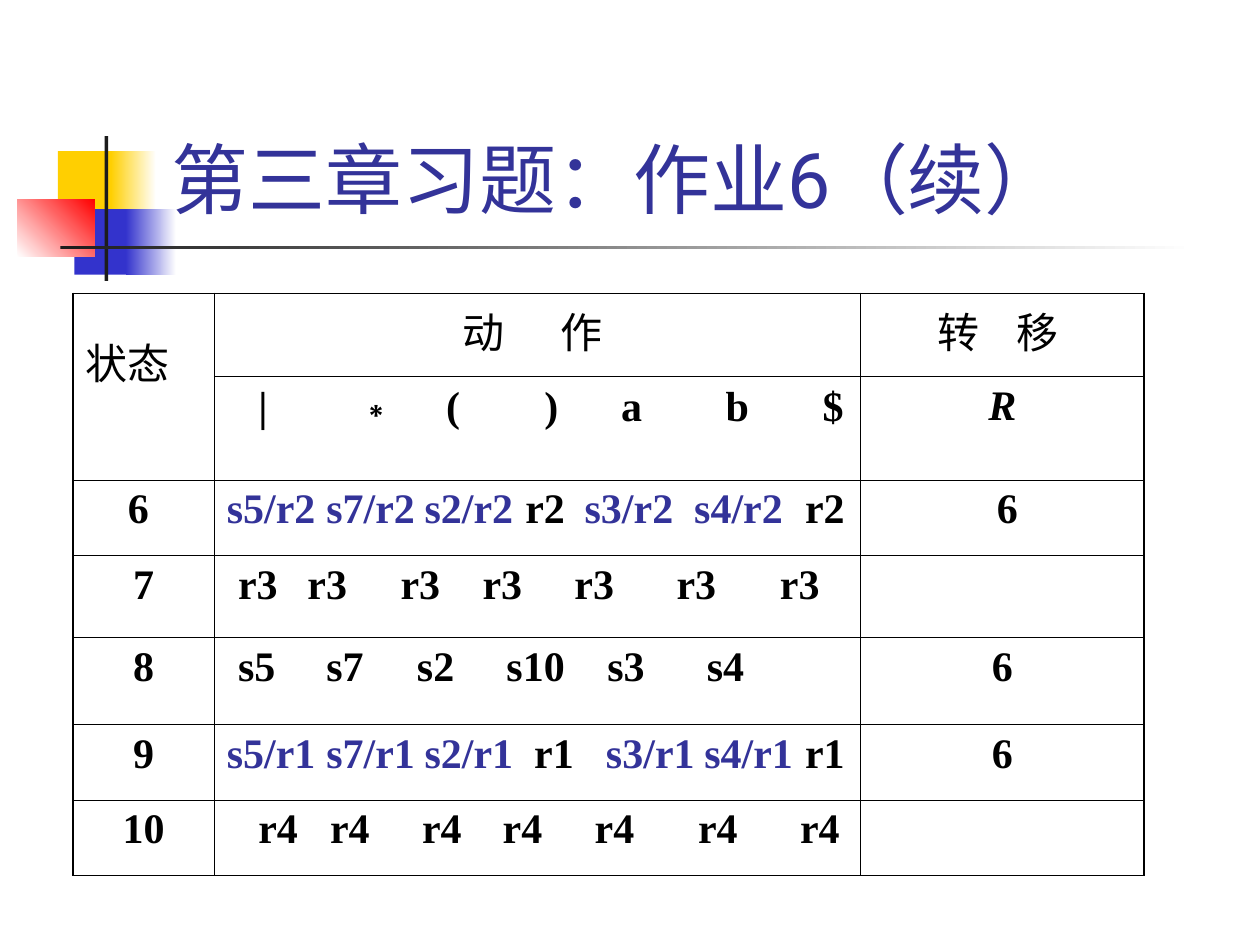
"""Build the parsing-table exercise slide with its decorated title."""
from lxml import etree
from pptx import Presentation
from pptx.dml.color import RGBColor
from pptx.enum.shapes import MSO_SHAPE
from pptx.enum.text import MSO_ANCHOR, PP_ALIGN
from pptx.oxml.ns import qn
from pptx.util import Inches, Pt

RECT = MSO_SHAPE.RECTANGLE
BOTTOM = MSO_ANCHOR.BOTTOM
LEFT, CENTER = PP_ALIGN.LEFT, PP_ALIGN.CENTER

THEME = {
    "white": "FFFFFF", "black": "000000", "ink": "1C1C1C", "accent": "333399",
    "yellow": "FFCF01", "blue": "3333CC", "red": "FF0000",
    "title_size": 44, "body_size": 24, "thin": 0.45, "thick": 1.08,
    "title_font": "Roboto", "body_font": "Times New Roman",
    "symbol_font": "Arial", "cjk_font": "Noto Sans CJK SC",
}


def add_run(p, text, size, font, color, bold=False, italic=False):
    r = p.add_run()
    r.text = text
    formats = {"size": Pt(THEME[size]), "name": THEME[font], "bold": bold, "italic": italic}
    for name, value in formats.items():
        setattr(r.font, name, value)
    r.font.color.rgb = RGBColor.from_string(THEME[color])
    etree.SubElement(r.font._element, qn("a:ea"), typeface=THEME["cjk_font"])


def add_border(cell, side, width):
    ln = etree.SubElement(cell._tc.get_or_add_tcPr(), qn(f"a:ln{side}"), w=str(Pt(width)))
    fill = etree.SubElement(ln, qn("a:solidFill"))
    etree.SubElement(fill, qn("a:srgbClr"), val=THEME["black"])


prs = Presentation()
prs.slide_width, prs.slide_height = Inches(10), Inches(7.5)
s = prs.slides.add_slide(prs.slide_layouts[6])

ORNAMENTS = [
    (0.46, 1.2, 0.48, 0.52, ["yellow"], 0),
    (0.88, 1.2, 0.36, 0.52, ["yellow", "white"], 0),
    (0.59, 1.66, 0.46, 0.52, ["blue"], 0),
    (1, 1.66, 0.4, 0.52, ["blue", "white"], 0),
    (0.14, 1.58, 0.61, 0.46, ["white", "red"], 45),
    (0.83, 1.08, 0.03, 1.15, ["ink"], 0),
    (0.48, 1.95, 9, 0.03, ["ink", "white"], 0),
]
for x, y, w, h, colors, angle in ORNAMENTS:
    sp = s.shapes.add_shape(RECT, Inches(x), Inches(y), Inches(w), Inches(h))
    sp.shadow.inherit = False
    sp.line.fill.background()
    if len(colors) == 1:
        sp.fill.solid()
        sp.fill.fore_color.rgb = RGBColor.from_string(THEME[colors[0]])
        continue
    sp.fill.gradient()
    sp.fill.gradient_angle = angle
    for position, (stop, color) in enumerate(zip(sp.fill.gradient_stops, colors)):
        stop.position = position
        stop.color.rgb = RGBColor.from_string(THEME[color])

title = s.shapes.add_textbox(Inches(1.26), Inches(0.23), Inches(8.52), Inches(1.6))
tf = title.text_frame
tf.word_wrap = True
tf.vertical_anchor = BOTTOM
add_run(tf.paragraphs[0], "第三章习题：作业6（续）", "title_size", "title_font", "accent")

COLUMNS = [1.12, 5.13, 2.25]
HEIGHTS = [0.66, 0.82, 0.6, 0.65, 0.69, 0.6, 0.6]
ROWS = [
    ("状态", "动 作", "转 移"),
    ("", "| ∗ ( ) a b $", " R "),
    ("6 ", "s5/r2 s7/r2 s2/r2 r2 s3/r2 s4/r2 r2", " 6"),
    ("7", "r3 r3 r3 r3 r3 r3 r3", ""),
    ("8", "s5 s7 s2 s10 s3 s4", "6"),
    ("9", "s5/r1 s7/r1 s2/r1 r1 s3/r1 s4/r1 r1", "6"),
    ("10", "r4 r4 r4 r4 r4 r4 r4", ""),
]
TAB_STOPS = {
    (0, 1): [1.87, 2.65],
    (0, 2): [0.51, 1.14],
    (1, 1): [0.25, 1.02, 1.74, 2.52, 3.13, 3.96, 4.73],
    (2, 1): [0, 0.79, 1.57, 2.37, 2.84, 3.71, 4.59],
    (3, 1): [0.09, 0.64, 1.38, 2.03, 2.76, 3.57, 4.39],
    (4, 1): [0.09, 0.79, 1.51, 2.22, 3.02, 3.81],
    (5, 1): [0, 0.79, 1.57, 2.44, 3.01, 3.79, 4.59],
    (6, 1): [0.25, 0.82, 1.55, 2.19, 2.92, 3.74, 4.55],
}
last_row, last_col = len(ROWS) - 1, len(COLUMNS) - 1

table = s.shapes.add_table(len(ROWS), len(COLUMNS), Inches(0.58), Inches(2.33),
                           Inches(sum(COLUMNS)), Inches(sum(HEIGHTS))).table
table.first_row = table.horz_banding = False
for column, width in zip(table.columns, COLUMNS):
    column.width = Inches(width)
for row, height in zip(table.rows, HEIGHTS):
    row.height = Inches(height)
table.cell(0, 0).merge(table.cell(1, 0))

for i, texts in enumerate(ROWS):
    for j, text in enumerate(texts):
        cell = table.cell(i, j)
        outer = {"L": j == 0, "R": j == last_col, "T": i == 0, "B": i == last_row}
        for side, is_outer in outer.items():
            add_border(cell, side, THEME["thick" if is_outer else "thin"])
        cell.fill.background()
        if not text:
            continue
        p = cell.text_frame.paragraphs[0]
        stops = TAB_STOPS.get((i, j))
        if stops is None:
            is_state = (i, j) == (0, 0)
            p.alignment = LEFT if is_state else CENTER
            if is_state:
                p.line_spacing = 1.5
            add_run(p, text, "body_size", "body_font", "black", i > 0, i == 1)
            continue
        p.alignment = LEFT
        tabs = etree.SubElement(p._p.get_or_add_pPr(), qn("a:tabLst"))
        for stop, entry in zip(stops, text.split()):
            if stop:
                etree.SubElement(tabs, qn("a:tab"), pos=str(Inches(stop)), algn="l")
            font = "symbol_font" if entry == "∗" else "body_font"
            color = "accent" if "/" in entry else "black"
            add_run(p, ("\t" if stop else "") + entry, "body_size", font, color, i > 0)

prs.save("out.pptx")
